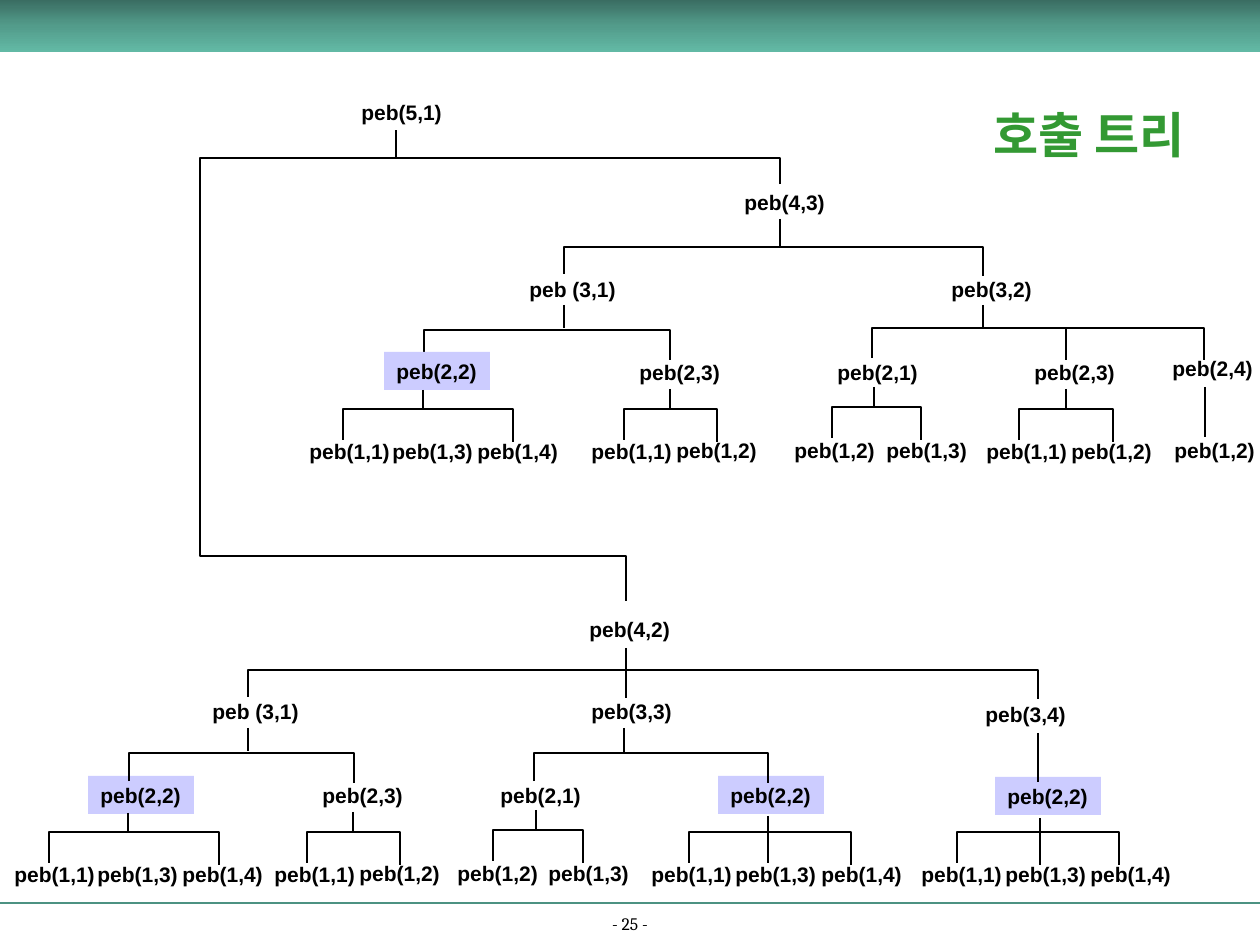
from copy import deepcopy

from pptx import Presentation
from pptx import util as u
from pptx.dml.color import RGBColor
from pptx.enum import shapes, text
from pptx.oxml import parse_xml
from pptx.oxml.ns import nsdecls, qn

BLACK = RGBColor(0, 0, 0)
GREEN = RGBColor(0x33, 0x99, 0x33)
LILAC = RGBColor(0xCC, 0xCC, 0xFF)
TEAL = RGBColor(0x4C, 0x92, 0x82)
BAND = (RGBColor(0x3A, 0x6D, 0x62), RGBColor(0x53, 0x9C, 0x8B), RGBColor(0x62, 0xB9, 0xA5))
PX = 914400 / 126

UPPER_CALLS = [
    (93, [(349, "(5,1)")]),
    (183, [(732, "(4,3)")]),
    (270, [(517, " (3,1)"), (939, "(3,2)")]),
    (349, [(1160, "(2,4)")]),
    (352, [(384, "(2,2)")]),
    (353, [(627, "(2,3)"), (825, "(2,1)"), (1022, "(2,3)")]),
    (431, [(664, "(1,2)"), (782, "(1,2)"), (874, "(1,3)"), (1162, "(1,2)")]),
    (432, [(297, "(1,1)"), (380, "(1,3)"), (465, "(1,4)"), (579, "(1,1)"),
           (974, "(1,1)"), (1059, "(1,2)")]),
]
LOWER_CALLS = [
    (610, [(577, "(4,2)")]),
    (692, [(200, " (3,1)"), (579, "(3,3)")]),
    (695, [(973, "(3,4)")]),
    (776, [(88, "(2,2)"), (310, "(2,3)"), (488, "(2,1)"), (718, "(2,2)")]),
    (777, [(995, "(2,2)")]),
    (854, [(347, "(1,2)"), (445, "(1,2)"), (536, "(1,3)")]),
    (855, [(2, "(1,1)"), (85, "(1,3)"), (170, "(1,4)"), (262, "(1,1)"),
           (639, "(1,1)"), (723, "(1,3)"), (809, "(1,4)"),
           (909, "(1,1)"), (993, "(1,3)"), (1078, "(1,4)")]),
]
UPPER_FORKS = [
    (247, 27, [(564, 983)]),
    (330, 28, [(424, 670)]),
    (328, 30, [(872, 1204)]),
    (407, 31, [(832, 921)]),
    (409, 31, [(343, 513), (624, 717), (1019, 1113)]),
]
LOWER_FORKS = [
    (670, 27, [(248, 1038)]),
    (753, 28, [(129, 354), (534, 768)]),
    (830, 31, [(493, 583)]),
    (832, 31, [(49, 219), (307, 400), (689, 851), (957, 1119)]),
]
STEMS = [
    (780, 219, 247), (564, 305, 328), (983, 305, 328), (1066, 328, 360),
    (423, 390, 409), (670, 389, 409), (874, 387, 407), (1066, 389, 409),
    (1205, 387, 437), (626, 648, 698), (248, 728, 751), (624, 728, 752),
    (1038, 733, 782), (128, 813, 832), (353, 812, 832), (536, 810, 830),
    (768, 816, 863), (1040, 818, 865),
]
ROOT = [
    [(780, 184), (780, 158), (396, 158), (396, 130)],
    [(396, 158), (200, 158), (200, 556), (626, 556), (626, 601)],
]


def px(*vals):
    """Turn pixel lengths into EMU."""
    return [u.Emu(round(v * PX)) for v in vals]


class Deck:
    """Style and current slide of the call tree."""

    def __init__(self):
        self.prs = Presentation()
        self.prs.slide_width, self.prs.slide_height = px(1260, 945)
        self.slide = self.prs.slides.add_slide(self.prs.slide_layouts[5])
        self.shapes = self.slide.shapes

    def label(self, frame, words, size, face, color, bold):
        """Fill a frame with one styled paragraph."""
        frame.text = words
        para = frame.paragraphs[0]
        font = para.font
        font.size, font.name, font.bold = u.Pt(size), face, bold
        font.color.rgb = color
        return para

    def title(self, words, *box):
        """Move and style the title placeholder."""
        head = self.shapes.title
        head.left, head.top, head.width, head.height = px(*box)
        frame = head.text_frame
        frame.vertical_anchor = text.MSO_ANCHOR.MIDDLE
        para = self.label(frame, words, 28, "Cambria", GREEN, True)
        para.alignment = text.PP_ALIGN.CENTER

    def band(self, *box):
        """Draw the shaded bar at the top."""
        bar = self.shapes.add_shape(shapes.MSO_SHAPE.RECTANGLE, *px(*box))
        bar.shadow.inherit = False
        bar.line.fill.background()
        bar.fill.gradient()
        bar.fill.gradient_angle = 270
        stops = bar._element.spPr.find(".//" + qn("a:gsLst"))
        stops.insert(1, deepcopy(stops[0]))
        for stop, color, pos in zip(bar.fill.gradient_stops, BAND, (0, 0.5, 1)):
            stop.color.rgb, stop.position = color, pos

    def foot(self, words, *box):
        """Place the centred page number."""
        frame = self.shapes.add_textbox(*px(*box)).text_frame
        frame.word_wrap = True
        frame.vertical_anchor = text.MSO_ANCHOR.BOTTOM
        para = self.label(frame, words, 10, "Cambria", BLACK, False)
        para.alignment = text.PP_ALIGN.CENTER

    def call(self, x, y, args):
        """Place one call, shaded for peb(2,2)."""
        width = 112 if args.startswith(" ") else 106
        box = self.shapes.add_textbox(*px(x, y, width, 38))
        if args == "(2,2)":
            box.fill.solid()
            box.fill.fore_color.rgb = LILAC
        frame = box.text_frame
        frame.word_wrap = False
        frame.auto_size = text.MSO_AUTO_SIZE.SHAPE_TO_FIT_TEXT
        self.label(frame, "peb" + args, 12, "Arial", BLACK, True)

    def line(self, x1, y1, x2, y2, color=BLACK, width=0.75):
        """Draw a straight line."""
        link = self.shapes.add_connector(
            shapes.MSO_CONNECTOR.STRAIGHT, *px(x1, y1, x2, y2))
        link.line.color.rgb, link.line.width = color, u.Pt(width)
        link._element.spPr.append(parse_xml(f"<a:effectLst {nsdecls('a')}/>"))

    def bend(self, points):
        """Draw an open line through the points."""
        pen = self.shapes.build_freeform(*points[0], scale=PX)
        pen.add_line_segments(points[1:], close=False)
        form = pen.convert_to_shape()
        form.shadow.inherit = False
        form.fill.background()
        form.line.color.rgb, form.line.width = BLACK, u.Pt(0.75)

    def calls(self, rows):
        """Place rows of calls."""
        for y, row in rows:
            for x, args in row:
                self.call(x, y, args)

    def forks(self, rows):
        """Draw rows of forks, the right arm a little longer."""
        for y, drop, spans in rows:
            for x1, x2 in spans:
                self.bend([(x1, y + drop), (x1, y), (x2, y), (x2, y + drop + 2)])


def main():
    """Build the slide."""
    deck = Deck()
    deck.line(0, 903, 1260, 903, TEAL, 1.5)
    deck.foot("- 25 -", 0, 912, 1260, 28)
    deck.band(0, 0, 1260, 52)
    deck.forks(UPPER_FORKS)
    deck.calls(UPPER_CALLS + LOWER_CALLS)
    deck.forks(LOWER_FORKS)
    for x, top, end in STEMS:
        deck.line(x, top, x, end)
    for points in ROOT:
        deck.bend(points)
    deck.title("호출 트리", 954, 77, 270, 113)
    deck.prs.save("out.pptx")


if __name__ == "__main__":
    main()
